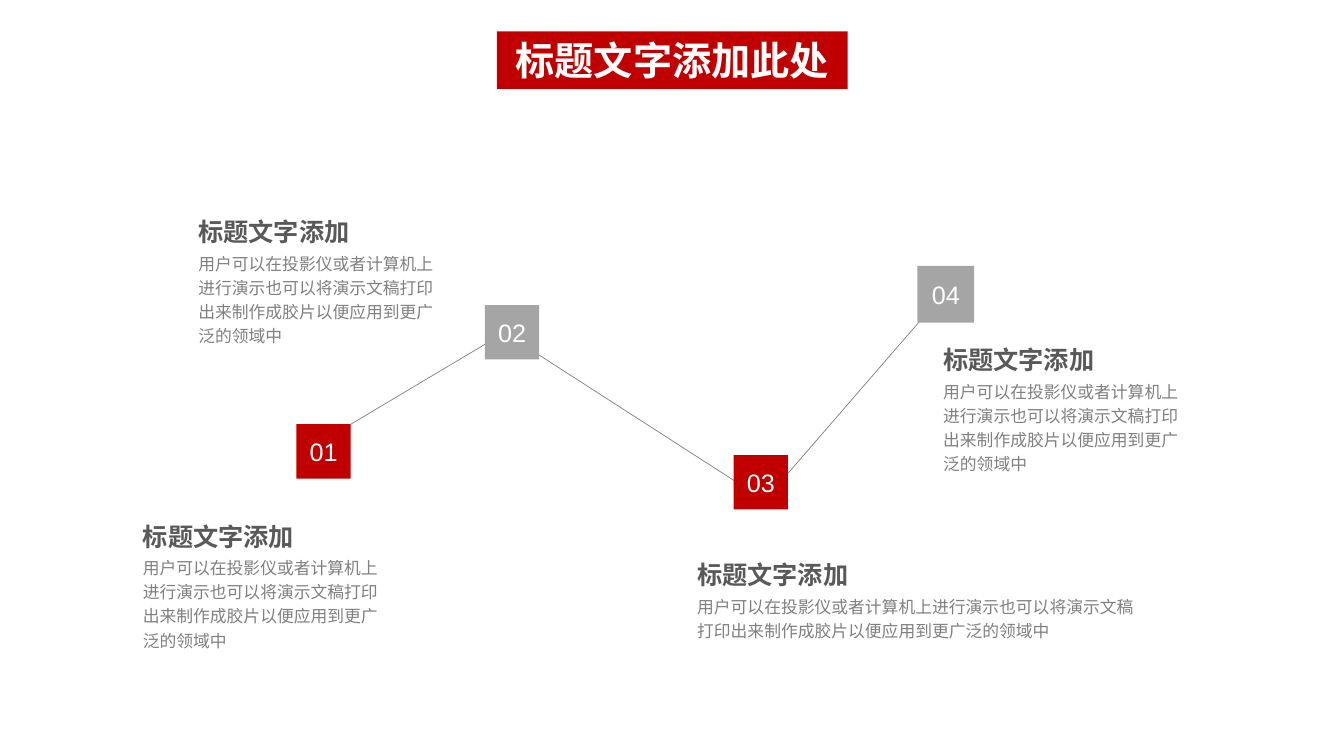
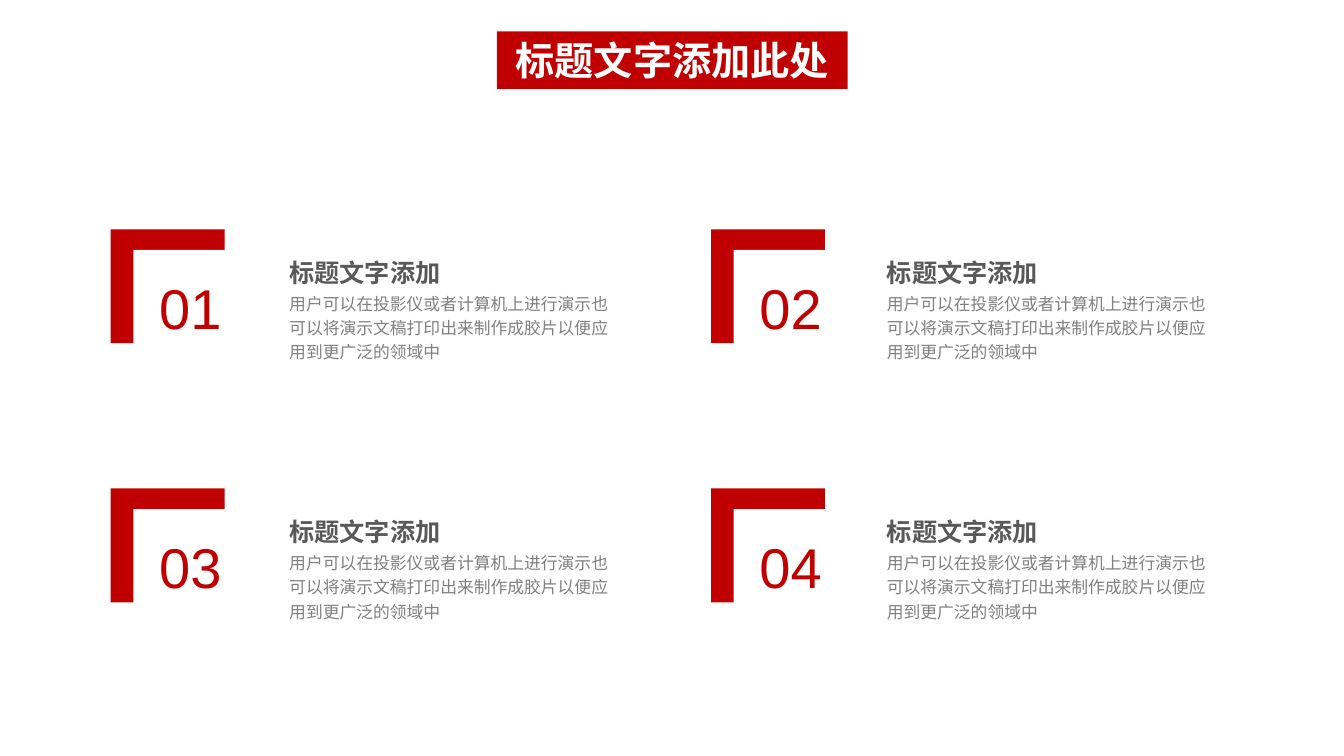
import dataclasses

import lxml.etree
import pptx
import pptx.dml.color
import pptx.enum.shapes
import pptx.enum.text
import pptx.oxml.ns
import pptx.util

Cm = pptx.util.Cm
Pt = pptx.util.Pt
RGB = pptx.dml.color.RGBColor.from_string
RECTANGLE = pptx.enum.shapes.MSO_SHAPE.RECTANGLE
ALIGN = pptx.enum.text.PP_ALIGN
ANCHOR = pptx.enum.text.MSO_ANCHOR
GROW = pptx.enum.text.MSO_AUTO_SIZE.SHAPE_TO_FIT_TEXT


@dataclasses.dataclass(frozen=True)
class Theme:
    font: str = "Arial"
    red: str = "C00000"
    silver: str = "A5A5A5"
    white: str = "FFFFFF"
    heading: str = "595959"
    body: str = "808080"
    title_size: int = 28
    heading_size: int = 18
    body_size: int = 12
    step_size: int = 18
    number_size: int = 40


theme = Theme()

TITLE = "标题文字添加此处"
HEADING = "标题文字添加"
BODY = "用户可以在投影仪或者计算机上进行演示也可以将演示文稿打印出来制作成胶片以便应用到更广泛的领域中"


def add_block(shapes, box, text="", size=12, color=theme.white, fill=None, bold=False, grow=False):
    """A filled rectangle with centred text, or a plain text box when fill is None."""
    lengths = [Cm(value) for value in box]
    if fill:
        shape = shapes.add_shape(RECTANGLE, *lengths)
        shape.shadow.inherit = False
        shape.fill.solid()
        shape.fill.fore_color.rgb = RGB(fill)
        shape.line.fill.background()
    else:
        shape = shapes.add_textbox(*lengths)
    if not text:
        return
    text_frame = shape.text_frame
    text_frame.text = text
    text_frame.word_wrap = True
    if grow:
        text_frame.auto_size = GROW
    text_frame.vertical_anchor = ANCHOR.TOP if grow else ANCHOR.MIDDLE
    paragraph = text_frame.paragraphs[0]
    paragraph.alignment = ALIGN.CENTER if fill else ALIGN.LEFT
    if not fill:
        paragraph.line_spacing = 1.2
    font = paragraph.runs[0].font
    font.name = theme.font
    font.size = Pt(size)
    font.bold = bold
    font.color.rgb = RGB(color)


def add_entry(slide, left, top, width, height):
    """A heading with its body text below, grouped."""
    group = slide.shapes.add_group_shape()
    add_block(group.shapes, (left, top + 0.98, width, height), BODY,
              theme.body_size, theme.body, grow=True)
    add_block(group.shapes, (left, top, 6.22, 1.12), HEADING,
              theme.heading_size, theme.heading, bold=True, grow=True)


presentation = pptx.Presentation()
presentation.slide_width = Cm(33.87)
presentation.slide_height = Cm(19.05)

# Both slides carry the same title band
slides = []
for _ in range(2):
    slide = presentation.slides.add_slide(presentation.slide_layouts[6])
    add_block(slide.shapes, (12.52, 0.79, 8.84, 1.45), TITLE, theme.title_size,
              fill=theme.red, bold=True, grow=True)
    slides.append(slide)
path_slide, grid_slide = slides

# Slide 1: texts beside the path
for entry in (
    (23.52, 8.41, 6.81, 2.67),
    (3.35, 12.85, 6.81, 2.67),
    (4.75, 5.18, 6.81, 2.67),
    (17.32, 13.82, 11.61, 1.5),
):
    add_entry(path_slide, *entry)

# Slide 1: lines of the path, partly covered by the steps
for ends in (
    (8.84, 10.69, 12.55, 8.48),
    (13.11, 8.64, 18.75, 12.27),
    (19.56, 12.27, 23.52, 7.7),
):
    connector = path_slide.shapes.add_connector(
        pptx.enum.shapes.MSO_CONNECTOR.STRAIGHT, *[Cm(value) for value in ends])
    connector.line.color.rgb = RGB(theme.body)
    connector.line.width = Pt(0.5)
    lxml.etree.SubElement(connector._element.spPr, pptx.oxml.ns.qn("a:effectLst"))

# Slide 1: numbered steps
for label, left, top, side, fill in (
    ("01", 7.47, 10.69, 1.37, theme.red),
    ("02", 12.22, 7.69, 1.37, theme.silver),
    ("03", 18.49, 11.47, 1.37, theme.red),
    ("04", 23.12, 6.7, 1.43, theme.silver),
):
    add_block(path_slide.shapes, (left, top, side, side), label, theme.step_size, fill=fill)

# Slide 2: two by two grid, each corner bracket a red square under a white one
row_pitch = 6.53
bracket_side = 2.87
for index in range(4):
    row, column = divmod(index, 2)
    add_entry(grid_slide, 7.04 + column * 15.06, 6.2 + row * row_pitch, 8.61, 2.11)
    left = 2.79 + column * 15.13
    top = 5.78 + row * row_pitch
    add_block(grid_slide.shapes, (left, top, bracket_side, bracket_side), fill=theme.red)
    add_block(grid_slide.shapes, (left + 0.57, top + 0.52, bracket_side, bracket_side),
              f"{index + 1:02d}", theme.number_size, theme.red, fill=theme.white)

presentation.save("out.pptx")
